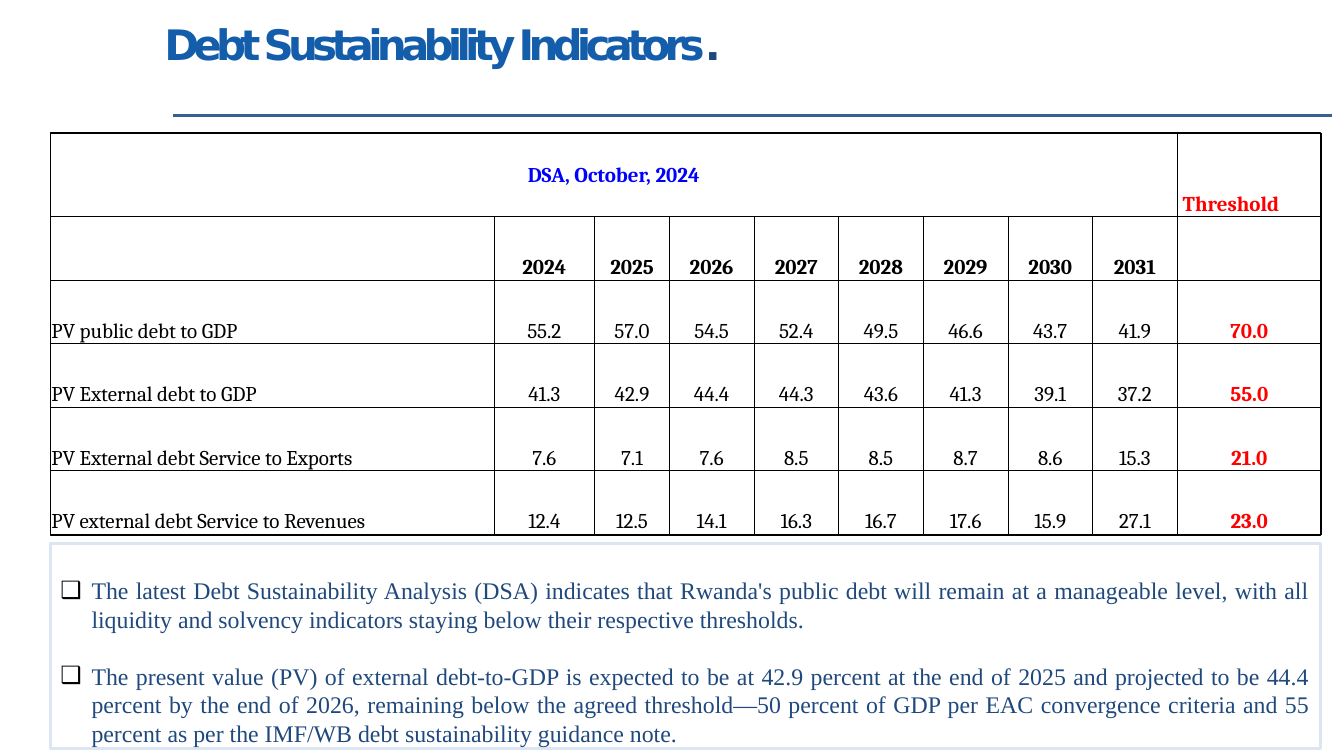
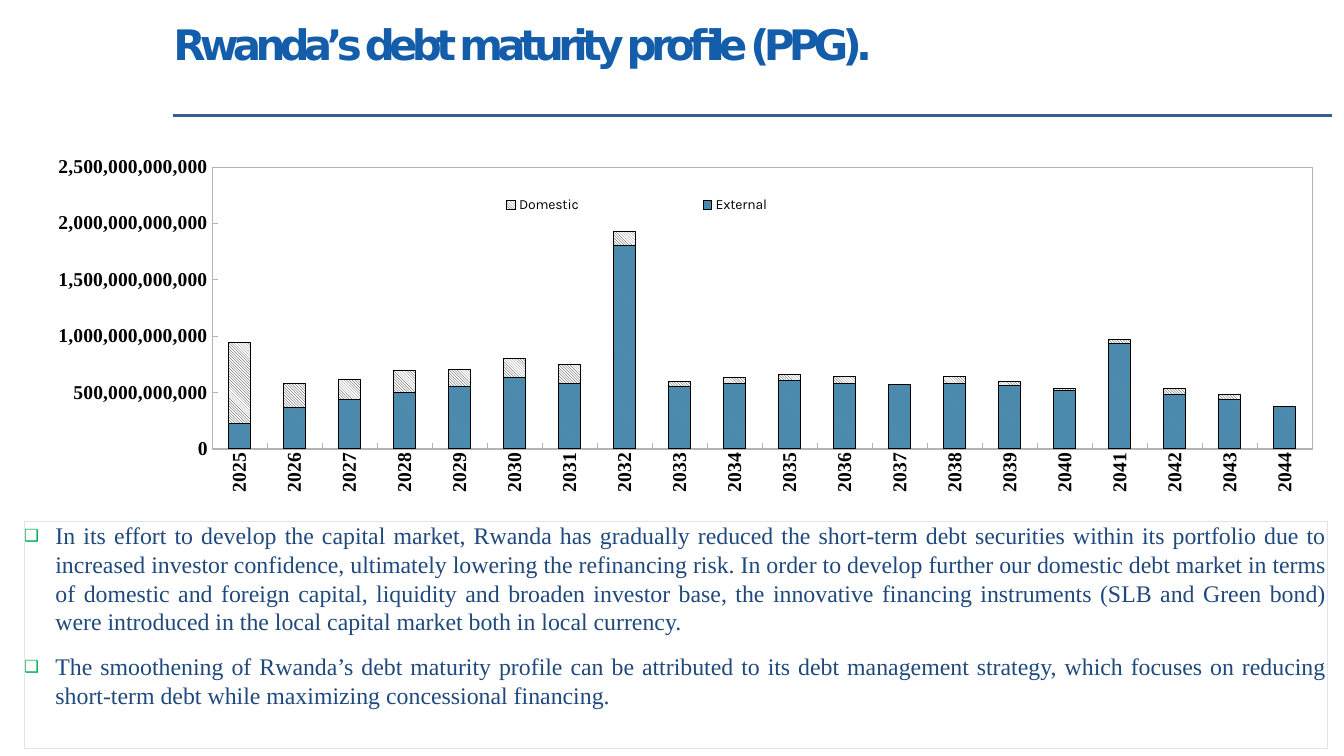
from dataclasses import dataclass

from lxml import etree
from pptx import Presentation
from pptx.chart.data import CategoryChartData
from pptx.dml.color import RGBColor
from pptx.enum.chart import XL_CHART_TYPE as ChartType
from pptx.enum.chart import XL_LEGEND_POSITION as LegendPosition
from pptx.enum.chart import XL_TICK_MARK as TickMark
from pptx.enum.dml import MSO_PATTERN as Pattern
from pptx.enum.shapes import MSO_CONNECTOR as Connector
from pptx.enum.shapes import MSO_SHAPE as Shape
from pptx.enum.text import MSO_ANCHOR as Anchor
from pptx.enum.text import PP_ALIGN as Align
from pptx.oxml.ns import qn
from pptx.util import Inches, Pt


@dataclass(frozen=True)
class Theme:
    title_color: str = "135DAB"
    text: str = "1F497D"
    rule: str = "376092"
    panel_line: str = "DCE6F2"
    black: str = "000000"
    white: str = "FFFFFF"
    red: str = "FF0000"
    blue: str = "0000FF"
    green: str = "00B050"
    axis: str = "B3B3B3"
    external: tuple = ("4B82AD", "4B8CAD")
    domestic: tuple = ("231F20", "FFFFFF")
    title_font: str = "DejaVu Sans"
    body_font: str = "Times New Roman"
    table_font: str = "Cambria"
    chart_font: str = "Arial"
    legend_font: str = "Karla"
    title_size: int = 30
    body_size: int = 17
    table_size: int = 15
    axis_size: int = 14
    legend_size: int = 10


THEME = Theme()
CELL = 0.1  # inches per grid column and grid row
COLUMNS, ROWS = 133.33, 75

TABLE_AREA = (5, 13.2, 126, 39.9)
TABLE_COLUMNS = [44, 10, 7.4] + [8.4] * 6 + [14.3]
TABLE_ROWS = [8.3] + [6.3] * 5
INDICATORS = [
    ("PV public debt to GDP", "55.2 57.0 54.5 52.4 49.5 46.6 43.7 41.9 70.0"),
    ("PV External debt to GDP", "41.3 42.9 44.4 44.3 43.6 41.3 39.1 37.2 55.0"),
    ("PV External debt Service to Exports", "7.6 7.1 7.6 8.5 8.5 8.7 8.6 15.3 21.0"),
    ("PV external debt Service to Revenues", "12.4 12.5 14.1 16.3 16.7 17.6 15.9 27.1 23.0"),
]
DSA_NOTES = [
    "The latest Debt Sustainability Analysis (DSA) indicates that Rwanda's public debt will remain at a "
    "manageable level, with all liquidity and solvency indicators staying below their respective thresholds.",
    "The present value (PV) of external debt-to-GDP is expected to be at 42.9 percent at the end of 2025 and "
    "projected to be 44.4 percent by the end of 2026, remaining below the agreed threshold—50 percent of GDP "
    "per EAC convergence criteria and 55 percent as per the IMF/WB debt sustainability guidance note.",
]
BILLION = 10 ** 9
EXTERNAL = [221, 362, 438, 499, 548, 627, 574, 1798, 548, 580,
            601, 580, 570, 580, 562, 512, 933, 477, 438, 371]
DOMESTIC = [720, 218, 172, 195, 155, 173, 173, 124, 46, 48,
            54, 57, 2, 56, 32, 18, 34, 57, 40, 5]
MATURITY_NOTES = [
    "In its effort to develop the capital market, Rwanda has gradually reduced the short-term debt securities "
    "within its portfolio due to increased investor confidence, ultimately lowering the refinancing risk. "
    "In order to develop further our domestic debt market in terms of domestic and foreign capital, liquidity "
    "and broaden investor base, the innovative financing instruments (SLB and Green bond) were introduced in "
    "the local capital market both in local currency.",
    "The smoothening of Rwanda’s debt maturity profile can be attributed to its debt management strategy, which "
    "focuses on reducing short-term debt while maximizing concessional financing.",
]


def grid(*cells):
    return [Inches(cell * CELL) for cell in cells]


def rgb(color):
    return RGBColor.from_string(color)


def style_font(font, name, size, color=THEME.black, bold=False):
    font.name, font.size, font.bold = name, Pt(size), bold
    font.color.rgb = rgb(color)


def style_line(line, color, width):
    line.color.rgb = rgb(color)
    line.width = Pt(width)


def set_margins(box, left=0, top=0, right=0, bottom=0):
    box.margin_left, box.margin_top, box.margin_right, box.margin_bottom = grid(left, top, right, bottom)


def write(paragraph, text, font=THEME.body_font, size=THEME.body_size, color=THEME.text,
          bold=False, align=None, spacing=None):
    """Add one formatted run; spacing is the letter spacing in points."""
    run = paragraph.add_run()
    run.text = text
    style_font(run.font, font, size, color, bold)
    if align is not None:
        paragraph.alignment = align
    if spacing is not None:
        run.font._element.set("spc", str(round(spacing * 100)))


def add_bullet(paragraph, color, percent):
    properties = paragraph._p.get_or_add_pPr()
    properties.set("marL", str(Inches(0.31)))
    properties.set("indent", str(-Inches(0.31)))
    bullet_color = etree.SubElement(properties, qn("a:buClr"))
    etree.SubElement(bullet_color, qn("a:srgbClr"), val=color)
    etree.SubElement(properties, qn("a:buSzPct"), val=str(percent * 1000))
    etree.SubElement(properties, qn("a:buFont"), typeface=THEME.chart_font)
    etree.SubElement(properties, qn("a:buChar"), char="❑")


def add_titled_slide(presentation, title, indent=0, stop=""):
    slide = presentation.slides.add_slide(presentation.slide_layouts[6])
    left, top, right = grid(17.2, 11.5, 132.1)
    rule = slide.shapes.add_connector(Connector.STRAIGHT, left, top, right, top)
    style_line(rule.line, THEME.rule, 2.25)
    etree.SubElement(rule._element.spPr, qn("a:effectLst"))
    frame = slide.shapes.add_textbox(*grid(16.3, 1.8, 114.7, 7.9)).text_frame
    frame.word_wrap = True
    set_margins(frame, left=indent)
    style = dict(font=THEME.title_font, size=THEME.title_size, bold=True)
    write(frame.paragraphs[0], title, color=THEME.title_color, spacing=-4.1, **style)
    if stop:
        write(frame.paragraphs[0], stop, **style)
    return slide


def add_frame(slide, area, color, width, fill=None):
    shape = slide.shapes.add_shape(Shape.RECTANGLE, *grid(*area))
    shape.shadow.inherit = False
    style_line(shape.line, color, width)
    if fill:
        shape.fill.solid()
        shape.fill.fore_color.rgb = rgb(fill)
    else:
        shape.fill.background()
    return shape


def add_notes_panel(slide, area, notes, gap, bullet_color, line_width, bullet_percent=100,
                    fill=None, anchor=Anchor.TOP, **margins):
    frame = add_frame(slide, area, THEME.panel_line, line_width, fill).text_frame
    frame.word_wrap = True
    frame.vertical_anchor = anchor
    set_margins(frame, **margins)
    for index, note in enumerate(notes):
        paragraph = frame.add_paragraph() if index else frame.paragraphs[0]
        if index:
            paragraph.space_before = Pt(gap)
        add_bullet(paragraph, bullet_color, bullet_percent)
        write(paragraph, note, align=Align.JUSTIFY)


def add_cell_borders(cell):
    properties = cell._tc.get_or_add_tcPr()
    for side in ("lnL", "lnR", "lnT", "lnB"):
        line = etree.SubElement(properties, qn(f"a:{side}"), w=str(Pt(0.5)))
        fill = etree.SubElement(line, qn("a:solidFill"))
        etree.SubElement(fill, qn("a:srgbClr"), val=THEME.black)


def fill_cell(cell, text, align=Align.CENTER, anchor=Anchor.BOTTOM, left=0.1, **style):
    set_margins(cell, left, 0.1, 0.1)
    cell.vertical_anchor = anchor
    write(cell.text_frame.paragraphs[0], text, font=THEME.table_font, size=THEME.table_size,
          align=align, **style)


def add_indicator_table(slide):
    table = slide.shapes.add_table(len(TABLE_ROWS), len(TABLE_COLUMNS), *grid(*TABLE_AREA)).table
    table.first_row = table.horz_banding = False
    for column, width in zip(table.columns, grid(*TABLE_COLUMNS)):
        column.width = width
    for row, height in zip(table.rows, grid(*TABLE_ROWS)):
        row.height = height
    for cell in table.iter_cells():
        add_cell_borders(cell)
        cell.fill.background()
    threshold = len(TABLE_COLUMNS) - 1
    table.cell(0, 0).merge(table.cell(0, threshold - 1))
    fill_cell(table.cell(0, 0), "DSA, October, 2024", anchor=Anchor.MIDDLE, color=THEME.blue, bold=True)
    fill_cell(table.cell(0, threshold), "Threshold", align=Align.LEFT, left=0.55, color=THEME.red, bold=True)
    for column in range(1, threshold):
        fill_cell(table.cell(1, column), str(2023 + column), color=THEME.black, bold=True)
    for row, (label, values) in enumerate(INDICATORS, start=2):
        fill_cell(table.cell(row, 0), label, align=Align.LEFT, color=THEME.black)
        for column, value in enumerate(values.split(), start=1):
            limit = column == threshold
            fill_cell(table.cell(row, column), value, color=THEME.red if limit else THEME.black, bold=limit)


def chart_layout(x, y, w, h, inner=False):
    layout = etree.Element(qn("c:layout"))
    manual = etree.SubElement(layout, qn("c:manualLayout"))
    settings = [("layoutTarget", "inner")] if inner else []
    settings += [("xMode", "edge"), ("yMode", "edge"), ("x", x), ("y", y), ("w", w), ("h", h)]
    for name, value in settings:
        etree.SubElement(manual, qn(f"c:{name}"), val=str(value))
    return layout


def replace_layout(parent, position, layout):
    for old in parent.findall(qn("c:layout")):
        parent.remove(old)
    parent.insert(position, layout)


def outline_plot(plot_area):
    properties = etree.SubElement(plot_area, qn("c:spPr"))
    fill = etree.SubElement(properties, qn("a:solidFill"))
    etree.SubElement(fill, qn("a:srgbClr"), val=THEME.white)
    line = etree.SubElement(properties, qn("a:ln"), w=str(Pt(0.25)))
    stroke = etree.SubElement(line, qn("a:solidFill"))
    etree.SubElement(stroke, qn("a:srgbClr"), val=THEME.axis)


def style_axis(axis):
    axis.has_major_gridlines = False
    axis.major_tick_mark, axis.minor_tick_mark = TickMark.INSIDE, TickMark.NONE
    style_font(axis.tick_labels.font, THEME.body_font, THEME.axis_size, bold=True)
    style_line(axis.format.line, THEME.axis, 0.25)


def add_maturity_chart(slide):
    data = CategoryChartData(number_format="#,##0")
    data.categories = [str(year) for year in range(2025, 2045)]
    for name, amounts in (("External", EXTERNAL), ("Domestic", DOMESTIC)):
        data.add_series(name, [amount * BILLION for amount in amounts])
    chart = slide.shapes.add_chart(ChartType.COLUMN_STACKED, *grid(5.8, 13.9, 124.4, 37.8), data).chart
    style_font(chart.font, THEME.chart_font, THEME.legend_size)
    chart.has_title = False

    plot = chart.plots[0]
    plot.gap_width, plot.overlap, plot.vary_by_categories = 150, 100, False
    for series, (front, back) in zip(plot.series, (THEME.external, THEME.domestic)):
        fill = series.format.fill
        fill.patterned()
        fill.pattern = Pattern.LIGHT_DOWNWARD_DIAGONAL
        fill.fore_color.rgb, fill.back_color.rgb = rgb(front), rgb(back)
        style_line(series.format.line, THEME.black, 0.75)

    for axis in (chart.category_axis, chart.value_axis):
        style_axis(axis)
    label_body = chart.category_axis._element.find(qn("c:txPr")).find(qn("a:bodyPr"))
    label_body.set("rot", "-5400000")
    label_body.set("vert", "horz")
    amounts_axis = chart.value_axis
    amounts_axis.minimum_scale, amounts_axis.maximum_scale = 0, 2500 * BILLION
    amounts_axis.major_unit = 500 * BILLION
    amounts_axis.tick_labels.number_format = "#,##0"
    amounts_axis.tick_labels.number_format_is_linked = False

    chart.has_legend = True
    chart.legend.position = LegendPosition.RIGHT
    chart.legend.include_in_layout = False
    style_font(chart.legend.font, THEME.legend_font, THEME.legend_size)
    replace_layout(chart.legend._element, 1, chart_layout(0.26, 0.12, 0.4, 0.1))
    plot_area = chart._chartSpace.chart.plotArea
    replace_layout(plot_area, 0, chart_layout(0.12, 0.07, 0.88, 0.74, inner=True))
    outline_plot(plot_area)


def add_indicators_slide(presentation):
    slide = add_titled_slide(presentation, "Debt Sustainability Indicators", stop=".")
    add_frame(slide, TABLE_AREA, THEME.black, 1)
    add_notes_panel(slide, (5, 53.9, 126, 20.4), DSA_NOTES, gap=20, bullet_color=THEME.black, line_width=2,
                    fill=THEME.white, anchor=Anchor.BOTTOM, left=1, right=1, bottom=0.2)
    add_indicator_table(slide)


def add_maturity_slide(presentation):
    slide = add_titled_slide(presentation, "Rwanda’s debt maturity profile (PPG).", indent=0.9)
    add_notes_panel(slide, (2.4, 51.7, 129.3, 22.6), MATURITY_NOTES, gap=12, bullet_color=THEME.green,
                    line_width=0.75, bullet_percent=70)
    add_maturity_chart(slide)


def main():
    presentation = Presentation()
    presentation.slide_width, presentation.slide_height = grid(COLUMNS, ROWS)
    add_indicators_slide(presentation)
    add_maturity_slide(presentation)
    presentation.save("out.pptx")


if __name__ == "__main__":
    main()
